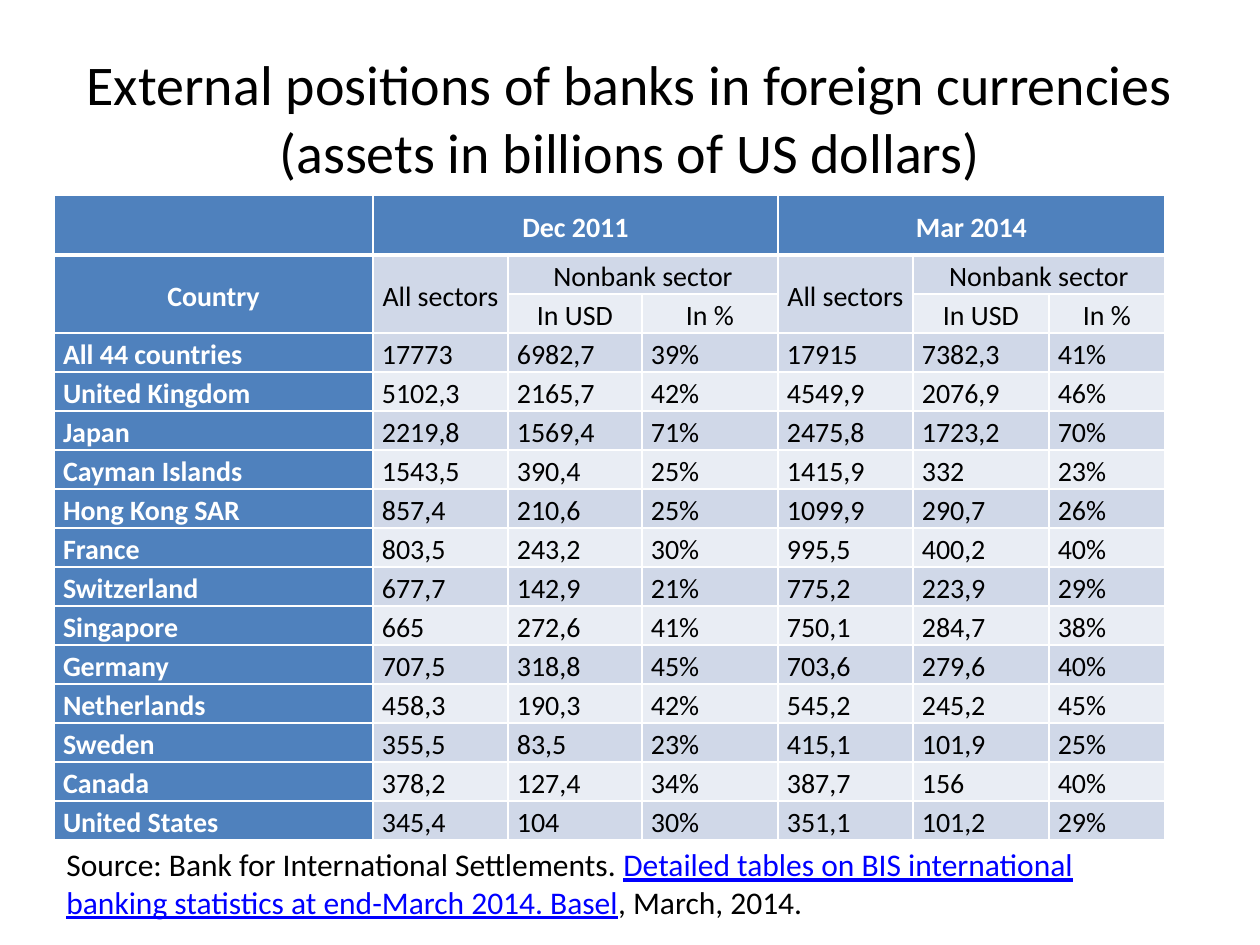
from typing import NamedTuple

import pptx
import pptx.dml.color
import pptx.enum.text
import pptx.oxml
import pptx.oxml.ns
import pptx.util

SCALE = 914400 / 126
FONT = "Calibri"
BLACK, WHITE, LINK = "000000", "FFFFFF", "0000FF"
BLUE, DARK, LIGHT = "4F81BD", "D0D8E8", "E9EDF4"
ALIGN = pptx.enum.text.PP_ALIGN
MIDDLE = pptx.enum.text.MSO_ANCHOR.MIDDLE
TOP = pptx.enum.text.MSO_ANCHOR.TOP


class Box(NamedTuple):
    left: int
    top: int
    width: int
    height: int


class Head(NamedTuple):
    row: int
    col: int
    text: str
    rows: int = 1
    cols: int = 1


class Land(NamedTuple):
    name: str
    values: str


WIDTHS = [319, 135, 134, 136, 135, 136, 116]
HEADS = [Head(1, 0, "Country", rows=2)]
for start, date in ((1, "Dec 2011"), (4, "Mar 2014")):
    HEADS += [
        Head(0, start, date, cols=3),
        Head(1, start, "All sectors", rows=2),
        Head(1, start + 1, "Nonbank sector", cols=2),
        Head(2, start + 1, "In USD"),
        Head(2, start + 2, "In %"),
    ]

LANDS = [
    Land("All 44 countries", "17773 6982,7 39% 17915 7382,3 41%"),
    Land("United Kingdom", "5102,3 2165,7 42% 4549,9 2076,9 46%"),
    Land("Japan", "2219,8 1569,4 71% 2475,8 1723,2 70%"),
    Land("Cayman Islands", "1543,5 390,4 25% 1415,9 332 23%"),
    Land("Hong Kong SAR", "857,4 210,6 25% 1099,9 290,7 26%"),
    Land("France", "803,5 243,2 30% 995,5 400,2 40%"),
    Land("Switzerland", "677,7 142,9 21% 775,2 223,9 29%"),
    Land("Singapore", "665 272,6 41% 750,1 284,7 38%"),
    Land("Germany", "707,5 318,8 45% 703,6 279,6 40%"),
    Land("Netherlands", "458,3 190,3 42% 545,2 245,2 45%"),
    Land("Sweden", "355,5 83,5 23% 415,1 101,9 25%"),
    Land("Canada", "378,2 127,4 34% 387,7 156 40%"),
    Land("United States", "345,4 104 30% 351,1 101,2 29%"),
]
HEIGHTS = [60] + [39] * (len(LANDS) + 2)


def px(length: int) -> int:
    return round(length * SCALE)


def paint(color, code: str) -> None:
    color.rgb = pptx.dml.color.RGBColor.from_string(code)


def style(font, size: int, code: str, bold: bool = False) -> None:
    font.name = FONT
    font.size = pptx.util.Pt(size)
    font.bold = bold
    paint(font.color, code)


def add_box(slide, box: Box):
    frame = slide.shapes.add_textbox(*map(px, box)).text_frame
    frame.word_wrap = True
    return frame


def add_title(slide, box: Box, text: str) -> None:
    frame = add_box(slide, box)
    frame.vertical_anchor = MIDDLE
    line = frame.paragraphs[0]
    line.text = text
    line.alignment = ALIGN.CENTER
    style(line.font, 32, BLACK)


def add_source(slide, box: Box) -> None:
    line = add_box(slide, box).paragraphs[0]
    style(line.font, 18, BLACK)
    for text, linked in (
        ("Source: Bank for International Settlements. ", False),
        ("Detailed tables on BIS international banking statistics "
         "at end-March 2014. Basel", True),
        (", March, 2014.", False),
    ):
        run = line.add_run()
        run.text = text
        if linked:
            run.font.underline = True
            paint(run.font.color, LINK)


def add_edges(cell, row: int) -> None:
    sizes = {"L": 1, "R": 1, "T": 3 if row == 1 else 1, "B": 3 if row == 0 else 1}
    props = cell._tc.get_or_add_tcPr()
    for spot, (side, size) in enumerate(sizes.items()):
        edge = pptx.oxml.parse_xml(
            f'<a:ln{side} {pptx.oxml.ns.nsdecls("a")} w="{pptx.util.Pt(size)}">'
            f'<a:solidFill><a:srgbClr val="{WHITE}"/></a:solidFill></a:ln{side}>'
        )
        props.insert(spot, edge)


def dress(cell, row: int, col: int) -> None:
    blue = row == 0 or col == 0
    cell.fill.solid()
    paint(cell.fill.fore_color, BLUE if blue else DARK if row % 2 else LIGHT)
    add_edges(cell, row)
    cell.margin_left = cell.margin_right = px(9)
    cell.margin_top = cell.margin_bottom = 0
    cell.vertical_anchor = MIDDLE if row < 3 else TOP
    line = cell.text_frame.paragraphs[0]
    line.alignment = ALIGN.CENTER if row < 3 else ALIGN.LEFT
    line.line_spacing = 1.15
    style(line.font, 16, WHITE if blue else BLACK, blue)


def add_grid(slide, left: int, top: int) -> None:
    box = Box(left, top, sum(WIDTHS), sum(HEIGHTS))
    table = slide.shapes.add_table(
        len(HEIGHTS), len(WIDTHS), *map(px, box)
    ).table
    table.first_col = True
    for column, width in zip(table.columns, WIDTHS):
        column.width = px(width)
    for line, height in zip(table.rows, HEIGHTS):
        line.height = px(height)
    for head in HEADS:
        cell = table.cell(head.row, head.col)
        cell.text = head.text
        if head.rows * head.cols > 1:
            cell.merge(table.cell(head.row + head.rows - 1, head.col + head.cols - 1))
    for row, land in enumerate(LANDS, 3):
        for col, text in enumerate([land.name, *land.values.split()]):
            table.cell(row, col).text = text
    for row in range(len(HEIGHTS)):
        for col in range(len(WIDTHS)):
            dress(table.cell(row, col), row, col)


def main() -> None:
    deck = pptx.Presentation()
    deck.slide_width, deck.slide_height = px(1260), px(945)
    slide = deck.slides.add_slide(deck.slide_layouts[6])
    add_title(
        slide,
        Box(63, 38, 1134, 158),
        "External positions of banks in foreign currencies "
        "(assets in billions of US dollars)",
    )
    add_grid(slide, 54, 195)
    add_source(slide, Box(54, 839, 1131, 89))
    deck.save("out.pptx")


if __name__ == "__main__":
    main()
